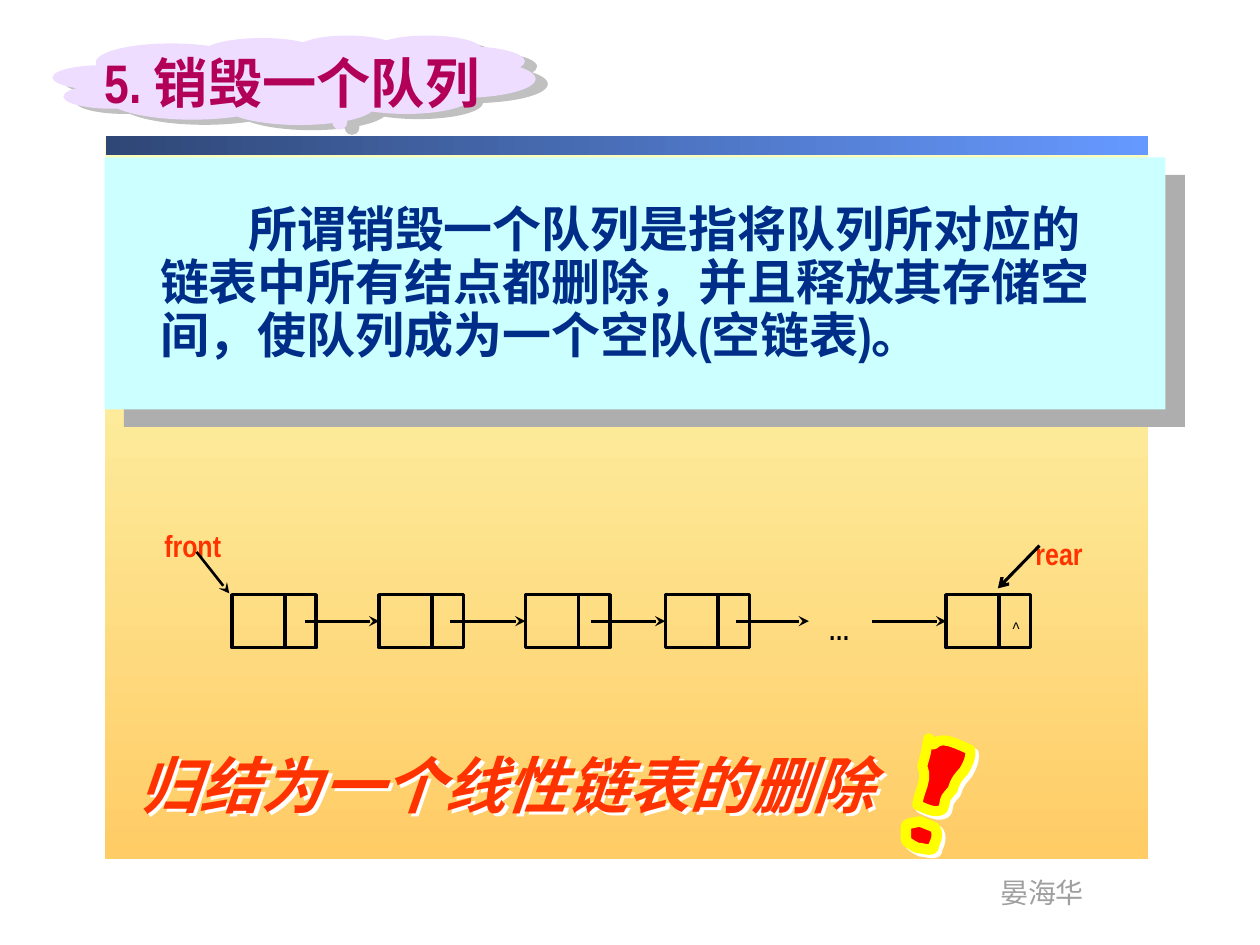
from lxml import etree
from pptx import Presentation
from pptx.dml.color import RGBColor
from pptx.enum.shapes import MSO_CONNECTOR, MSO_SHAPE
from pptx.enum.text import MSO_ANCHOR, MSO_AUTO_SIZE, PP_ALIGN
from pptx.oxml.ns import qn
from pptx.util import Inches, Pt

RECTANGLE, CLOUD = MSO_SHAPE.RECTANGLE, MSO_SHAPE.CLOUD_CALLOUT
STRAIGHT = MSO_CONNECTOR.STRAIGHT
TOP, NO_AUTOSIZE = MSO_ANCHOR.TOP, MSO_AUTO_SIZE.NONE
LEFT, CENTER = PP_ALIGN.LEFT, PP_ALIGN.CENTER
LEFT_SIDE = 1

FONT = "Arial Narrow"
BLACK = RGBColor(0, 0, 0)
WHITE = RGBColor(255, 255, 255)
RED = RGBColor(255, 0, 0)
YELLOW = RGBColor(255, 255, 0)
ORANGE_RED = RGBColor(0xFF, 0x33, 0x00)
NAVY = RGBColor(0x00, 0x2D, 0x88)
MAGENTA = RGBColor(0xB2, 0x00, 0x59)
LILAC = RGBColor(0xEE, 0xDD, 0xFF)
CYAN = RGBColor(0xCC, 0xFF, 0xFF)
CREAM = RGBColor(0xFC, 0xFE, 0xBC)
AMBER = RGBColor(0xFF, 0xCC, 0x66)
DARK_BLUE = RGBColor(0x2F, 0x47, 0x76)
BLUE = RGBColor(0x66, 0x99, 0xFF)
NAME_GRAY = RGBColor(0x9F, 0x9F, 0x9F)
PANEL_SHADOW = RGBColor(0xAE, 0xAE, 0xAE)
CLOUD_SHADOW = RGBColor(0xC0, 0xC0, 0xC0)

TITLE = "5. 销毁一个队列"
DEFINITION = ("所谓销毁一个队列是指将队列所对应的链表中所有结点都删除，"
              "并且释放其存储空间，使队列成为一个空队(空链表)。")
CONCLUSION = "归结为一个线性链表的删除"
AUTHOR = "晏海华"

NODE_LEFTS = [1.84, 3.01, 4.17, 5.28, 7.51]
NODE_TOP, NODE_HEIGHT = 4.72, 0.42
DATA_WIDTH, LINK_WIDTH = 0.42, 0.25
# Start of each link, and the index of the node it reaches (None: the gap)
LINKS = [(2.42, 1), (3.57, 2), (4.69, 3), (5.84, None), (6.92, 4)]
LINK_LENGTH = 0.58
# text, box, size, colour, bold
LABELS = [
    ("…", (6.46, 4.64, 0.4, 0.39), 26, BLACK, True),
    ("^", (7.93, 4.72, 0.27, 0.3), 18, BLACK, False),
    ("front", (1.13, 3.92, 0.8, 0.43), 30, ORANGE_RED, True),
    ("rear", (8.05, 3.98, 0.71, 0.43), 30, ORANGE_RED, True),
]
# Exclamation mark: start point, then curves (two controls and an end), line width
STROKE = ((7.41, 5.91), [
    (7.47, 5.83, 7.6, 5.91, 7.7, 5.95), (7.71, 6.01, 7.68, 6.07, 7.65, 6.12),
    (7.63, 6.14, 7.6, 6.18, 7.6, 6.18), (7.58, 6.21, 7.57, 6.24, 7.56, 6.27),
    (7.54, 6.29, 7.51, 6.33, 7.51, 6.33), (7.49, 6.37, 7.5, 6.42, 7.47, 6.43),
    (7.42, 6.46, 7.33, 6.41, 7.28, 6.39), (7.29, 6.28, 7.37, 6.19, 7.32, 6.08),
    (7.39, 5.86, 7.34, 5.81, 7.41, 5.91)], 5.75)
DOT = ((7.3, 6.52), [
    (7.17, 6.55, 7.19, 6.52, 7.19, 6.64), (7.19, 6.65, 7.19, 6.67, 7.2, 6.68),
    (7.22, 6.7, 7.28, 6.73, 7.28, 6.73), (7.32, 6.73, 7.36, 6.75, 7.39, 6.74),
    (7.41, 6.74, 7.41, 6.72, 7.41, 6.71), (7.43, 6.67, 7.45, 6.62, 7.42, 6.57),
    (7.41, 6.56, 7.3, 6.52, 7.3, 6.52)], 6)

presentation = Presentation()
presentation.slide_width, presentation.slide_height = Inches(10), Inches(7.5)
slide = presentation.slides.add_slide(presentation.slide_layouts[1])
shapes = slide.shapes


def add_shadow(shape, color, distance, angle):
    shape.shadow.inherit = False
    effects = shape._element.spPr.find(qn("a:effectLst"))
    shadow = etree.SubElement(effects, qn("a:outerShdw"), blurRad="0",
                              dist=str(Pt(distance)), dir=str(angle * 60000),
                              algn="ctr", rotWithShape="0")
    etree.SubElement(shadow, qn("a:srgbClr"), val=str(color))


def paint(shape, fill=None, line=None, width=1):
    shape.shadow.inherit = False
    if fill is None:
        shape.fill.background()
    else:
        shape.fill.solid()
        shape.fill.fore_color.rgb = fill
    if line is None:
        shape.line.fill.background()
    else:
        shape.line.color.rgb = line
        shape.line.width = Pt(width)


def add_box(box, kind=RECTANGLE, **style):
    shape = shapes.add_shape(kind, *map(Inches, box))
    paint(shape, **style)
    return shape


def add_gradient_box(box, colors, angle):
    shape = add_box(box)
    shape.fill.gradient()
    shape.fill.gradient_angle = angle
    for stop, color in zip(shape.fill.gradient_stops, colors):
        stop.color.rgb = color


def add_text(text, box, size, color, bold=False, italic=False, wrap=True,
             align=LEFT, spacing=None, indent=None, baseline=None, placeholder=None):
    shape = placeholder
    if shape is None:
        shape = shapes.add_textbox(*map(Inches, box))
    else:
        shapes._spTree.append(shape._element)  # bring in front of its panel
        shape.left, shape.top, shape.width, shape.height = map(Inches, box)
    frame = shape.text_frame
    frame.word_wrap, frame.auto_size = wrap, NO_AUTOSIZE
    frame.vertical_anchor = TOP
    paragraph = frame.paragraphs[0]
    paragraph.alignment, paragraph.line_spacing = align, spacing
    paragraph.space_before = Pt(0)
    if indent is not None:
        properties = paragraph._p.get_or_add_pPr()
        properties.set("marL", "0")
        properties.set("indent", str(Inches(indent)))
        etree.SubElement(properties, qn("a:buNone"))
    run = paragraph.add_run()
    run.text = text
    font = run.font
    font.name, font.size, font.bold, font.italic = FONT, Pt(size), bold, italic
    font.color.rgb = color
    if baseline is not None:
        run._r.get_or_add_rPr().set("baseline", str(baseline * 1000))
    return shape


def add_arrow(start, end, width=1.75, head="stealth", target=None):
    connector = shapes.add_connector(STRAIGHT, *map(Inches, start + end))
    if target is not None:
        connector.end_connect(target, LEFT_SIDE)
    connector.line.color.rgb = BLACK
    connector.line.width = Pt(width)
    etree.SubElement(connector.line._get_or_add_ln(), qn("a:tailEnd"), type=head)
    etree.SubElement(connector._element.spPr, qn("a:effectLst"))


def add_curved_outline(start, curves, width, steps=6):
    points, (x, y) = [], start
    for x1, y1, x2, y2, x3, y3 in curves:
        for step in range(1, steps + 1):
            t = step / steps
            weights = (1 - t) ** 3, 3 * t * (1 - t) ** 2, 3 * t * t * (1 - t), t ** 3
            points.append(tuple(
                Inches(sum(w * c for w, c in zip(weights, axis)))
                for axis in ((x, x1, x2, x3), (y, y1, y2, y3))))
        x, y = x3, y3
    builder = shapes.build_freeform(*map(Inches, start))
    builder.add_line_segments(points, close=True)
    shape = builder.convert_to_shape()
    paint(shape, RED, YELLOW, width)
    add_shadow(shape, WHITE, 2.8, 45)


# Backdrop and definition panel
add_gradient_box((0.83, 1.1, 8.28, 5.72), (CREAM, AMBER), 270)
add_gradient_box((0.84, 1.08, 8.27, 0.15), (DARK_BLUE, BLUE), 0)
add_text(AUTHOR, (7.84, 6.9, 0.87, 0.37), 16, NAME_GRAY, wrap=False)
panel = add_box((0.83, 1.25, 8.42, 2), fill=CYAN)
add_shadow(panel, PANEL_SHADOW, 14.9, 42)
add_text(DEFINITION, (1.17, 1.58, 7.83, 1.36), 28, NAVY, bold=True, spacing=0.9,
         indent=0.7, placeholder=slide.placeholders[1])

# Linked list
nodes = []
for left in NODE_LEFTS:
    nodes.append(add_box((left, NODE_TOP, DATA_WIDTH, NODE_HEIGHT), line=BLACK, width=2))
    add_box((left + DATA_WIDTH, NODE_TOP, LINK_WIDTH, NODE_HEIGHT), line=BLACK, width=2)
middle = NODE_TOP + NODE_HEIGHT / 2
for left, index in LINKS:
    add_arrow((left, middle), (left + LINK_LENGTH, middle),
              target=None if index is None else nodes[index])
for text, box, size, color, bold in LABELS:
    add_text(text, box, size, color, bold=bold, wrap=False, align=CENTER, baseline=-10)
add_arrow((1.56, 4.38), (1.82, 4.71), width=1.5)
add_arrow((8.25, 4.33), (7.92, 4.67), head="arrow")

# Conclusion
conclusion = add_text(CONCLUSION, (1, 5.88, 6.42, 0.68), 35, ORANGE_RED,
                      bold=True, italic=True)
add_shadow(conclusion, WHITE, 2.8, 45)
for outline in (STROKE, DOT):
    add_curved_outline(*outline)

# Title
cloud = add_box((0.42, 0.28, 3.83, 0.71), CLOUD, fill=LILAC)
cloud.adjustments[0], cloud.adjustments[1] = 0.08, 0.4
add_shadow(cloud, CLOUD_SHADOW, 7.6, 23)
add_text(TITLE, (0.73, 0.34, 3.96, 0.62), 31, MAGENTA, bold=True,
         placeholder=shapes.title)

presentation.save("out.pptx")
